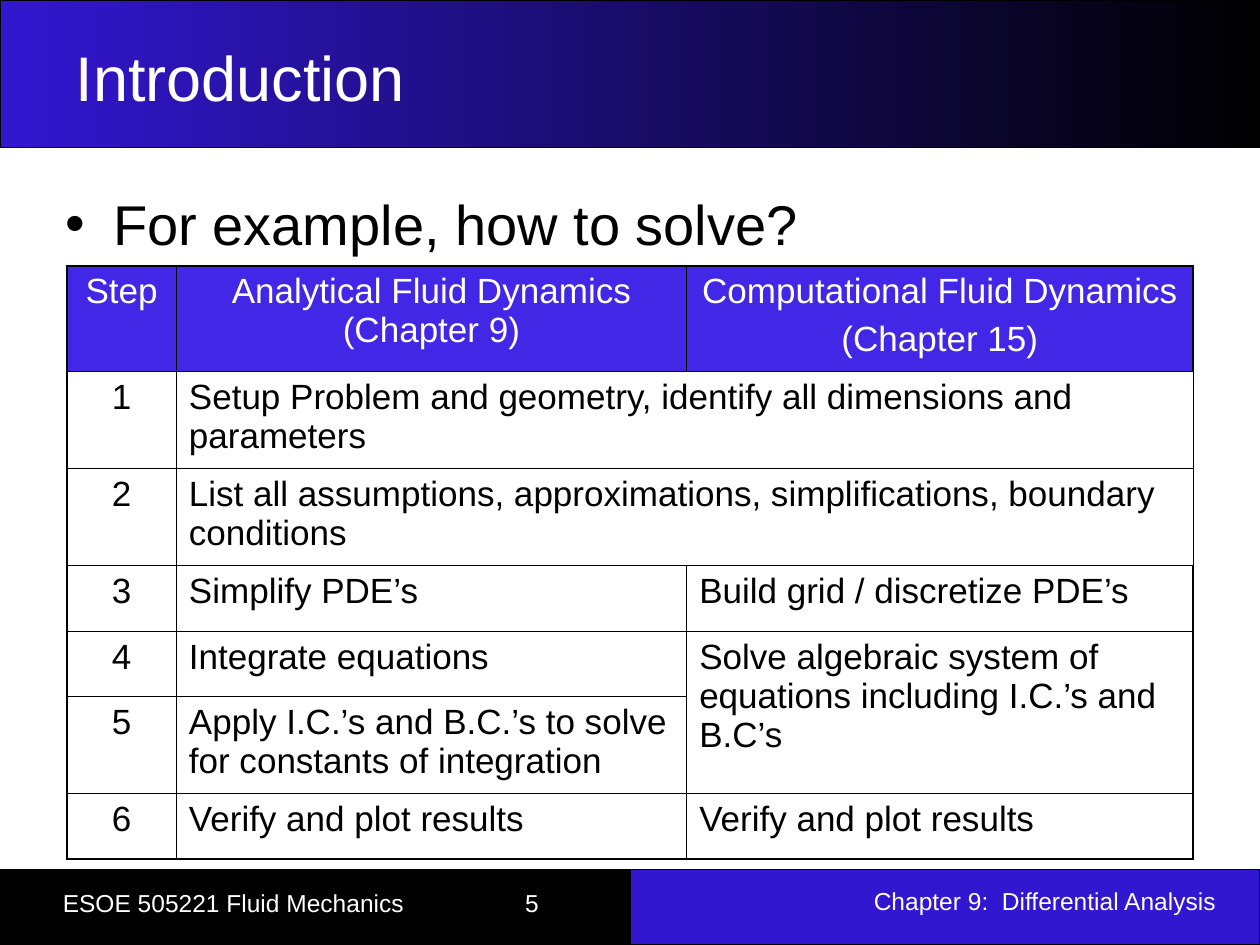
from pptx import Presentation, util as u
from pptx.dml import color
from pptx.enum import shapes, text
from pptx.oxml import xmlchemy, ns
from lxml import etree

BLACK, WHITE, BLUE, HEADER_BLUE = "000000", "FFFFFF", "3217D1", "4227E7"
LEFT, CENTER, RIGHT = text.PP_ALIGN.LEFT, text.PP_ALIGN.CENTER, text.PP_ALIGN.RIGHT
THIN, THICK = 0.45, 1.08


def rgb(value):
    return color.RGBColor.from_string(value)


def sub(parent, tag, **attributes):
    return etree.SubElement(parent, ns.qn(tag), attributes)


class SlideBuilder:
    """Draws styled elements on the current slide."""

    def __init__(self, deck, font="Arial"):
        self.font = font
        self.page = deck.slides.add_slide(deck.slide_layouts[5])

    def span(self, para, wording, size, ink):
        span = para.add_run()
        span.text = wording
        span.font.name = self.font
        span.font.size = u.Pt(size)
        span.font.color.rgb = rgb(ink)

    def bar(self, left, top, width, height, fills):
        bar = self.page.shapes.add_shape(
            shapes.MSO_SHAPE.RECTANGLE, *map(u.Inches, (left, top, width, height)))
        bar.shadow.inherit = False
        if len(fills) == 1:
            bar.fill.solid()
            bar.fill.fore_color.rgb = rgb(fills[0])
        else:
            bar.fill.gradient()
            bar.fill.gradient_angle = 0
            for stop, fill, position in zip(bar.fill.gradient_stops, fills, (0, 1)):
                stop.color.rgb = rgb(fill)
                stop.position = position
        bar.line.color.rgb = rgb(BLACK)
        bar.line.width = u.Pt(0.75)

    def title(self, wording, left, top, width, height):
        title = self.page.shapes.title
        title.left, title.top, title.width, title.height = map(
            u.Inches, (left, top, width, height))
        title.text_frame.vertical_anchor = text.MSO_ANCHOR.MIDDLE
        para = title.text_frame.paragraphs[0]
        para.alignment = LEFT
        self.span(para, wording, 36, WHITE)
        self.page.shapes._spTree.append(title._element)

    def text_box(self, left, top, width, height):
        box = self.page.shapes.add_textbox(*map(u.Inches, (left, top, width, height)))
        box.text_frame.word_wrap = True
        return box.text_frame

    def footer(self, parts, left, top, width, align=LEFT, tab=None):
        para = self.text_box(left, top, width, 0.34).paragraphs[0]
        para.alignment = align
        if tab:
            stops = sub(para._p.get_or_add_pPr(), "a:tabLst")
            sub(stops, "a:tab", pos=str(u.Inches(tab)), algn="l")
        self.span(para, "\t".join(parts), 14, WHITE)

    def bullet(self, wording, left, top, width, height):
        frame = self.text_box(left, top, width, height)
        frame.margin_top = u.Inches(0.1)
        para = frame.paragraphs[0]
        properties = para._p.get_or_add_pPr()
        indent = u.Inches(0.38)
        properties.set("marL", str(indent))
        properties.set("indent", str(-indent))
        sub(sub(properties, "a:buClr"), "a:srgbClr", val=BLACK)
        sub(properties, "a:buFont", typeface=self.font)
        sub(properties, "a:buChar", char="•")
        self.span(para, wording, 32, BLACK)

    def borders(self, cell, widths):
        properties = cell._tc.get_or_add_tcPr()
        for index, (side, width) in enumerate(zip("LRTB", widths)):
            line = sub(properties, "a:ln" + side, w=str(u.Pt(width)))
            sub(sub(line, "a:solidFill"), "a:srgbClr", val=BLACK)
            properties.insert(index, line)

    def cell(self, cell, paragraphs, align, ink, fill):
        if fill:
            cell.fill.solid()
            cell.fill.fore_color.rgb = rgb(fill)
        else:
            cell.fill.background()
        for index, lines in enumerate(paragraphs):
            frame = cell.text_frame
            para = frame.add_paragraph() if index else frame.paragraphs[0]
            para.alignment = align
            if index:
                para.space_before = u.Pt(5)
            for number, line in enumerate(lines.split("\n")):
                if number:
                    para.add_line_break()
                self.span(para, line, 20, ink)

    def table(self, rows, merges, left, top, widths, heights):
        table = self.page.shapes.add_table(
            len(heights), len(widths), u.Inches(left), u.Inches(top),
            u.Inches(sum(widths)), u.Inches(sum(heights))).table
        table.first_row = table.horz_banding = False
        for column, width in zip(table.columns, widths):
            column.width = u.Inches(width)
        for row, height in zip(table.rows, heights):
            row.height = u.Inches(height)
        last_row, last_column = len(heights) - 1, len(widths) - 1
        for r, row in enumerate(rows):
            for c, paragraphs in enumerate(row):
                cell = table.cell(r, c)
                align = CENTER if r == 0 or c == 0 else LEFT
                ink, fill = (BLACK, None) if r else (WHITE, HEADER_BLUE)
                self.cell(cell, paragraphs, align, ink, fill)
                outer = (c == 0, c == last_column, r == 0, r == last_row)
                self.borders(cell, [THICK if edge else THIN for edge in outer])
        for start, end in merges:
            table.cell(*start).merge(table.cell(*end))


def main():
    deck = Presentation()
    deck.slide_width, deck.slide_height = u.Inches(10), u.Inches(7.5)
    slide = SlideBuilder(deck)

    slide.bar(0, 6.9, 5, 0.6, [BLACK])
    slide.bar(5, 6.9, 5, 0.6, [BLUE])
    slide.bar(0, 0, 10, 1.17, [BLUE, BLACK])
    slide.footer(["Chapter 9:  Differential Analysis"], 5.15, 6.98, 4.6, RIGHT)
    slide.footer(["ESOE 505221 Fluid Mechanics", "5"], 0.4, 7, 4.43, tab=3.67)
    slide.title("Introduction", 0.5, 0.17, 9, 0.87)
    slide.bullet("For example, how to solve?", 0.42, 1.4, 9, 5.28)

    header = [["Step"], ["Analytical Fluid Dynamics\n(Chapter 9)"],
              ["Computational Fluid Dynamics", "(Chapter 15)"]]
    steps = [
        ("Setup Problem and geometry, identify all dimensions and parameters", ""),
        ("List all assumptions, approximations, simplifications, boundary conditions", ""),
        ("Simplify PDE’s", "Build grid / discretize PDE’s"),
        ("Integrate equations",
         "Solve algebraic system of equations including I.C.’s and B.C’s"),
        ("Apply I.C.’s and B.C.’s to solve for constants of integration", ""),
        ("Verify and plot results", "Verify and plot results"),
    ]
    rows = [header] + [
        [[str(number)]] + [[wording] if wording else [] for wording in step]
        for number, step in enumerate(steps, 1)]
    merges = [((1, 1), (1, 2)), ((2, 1), (2, 2)), ((4, 2), (5, 2))]
    slide.table(rows, merges, 0.53, 2.11, [0.87, 4.05, 4.02],
                [0.84, 0.77, 0.77, 0.52, 0.52, 0.77, 0.52])

    deck.save("out.pptx")


if __name__ == "__main__":
    main()
